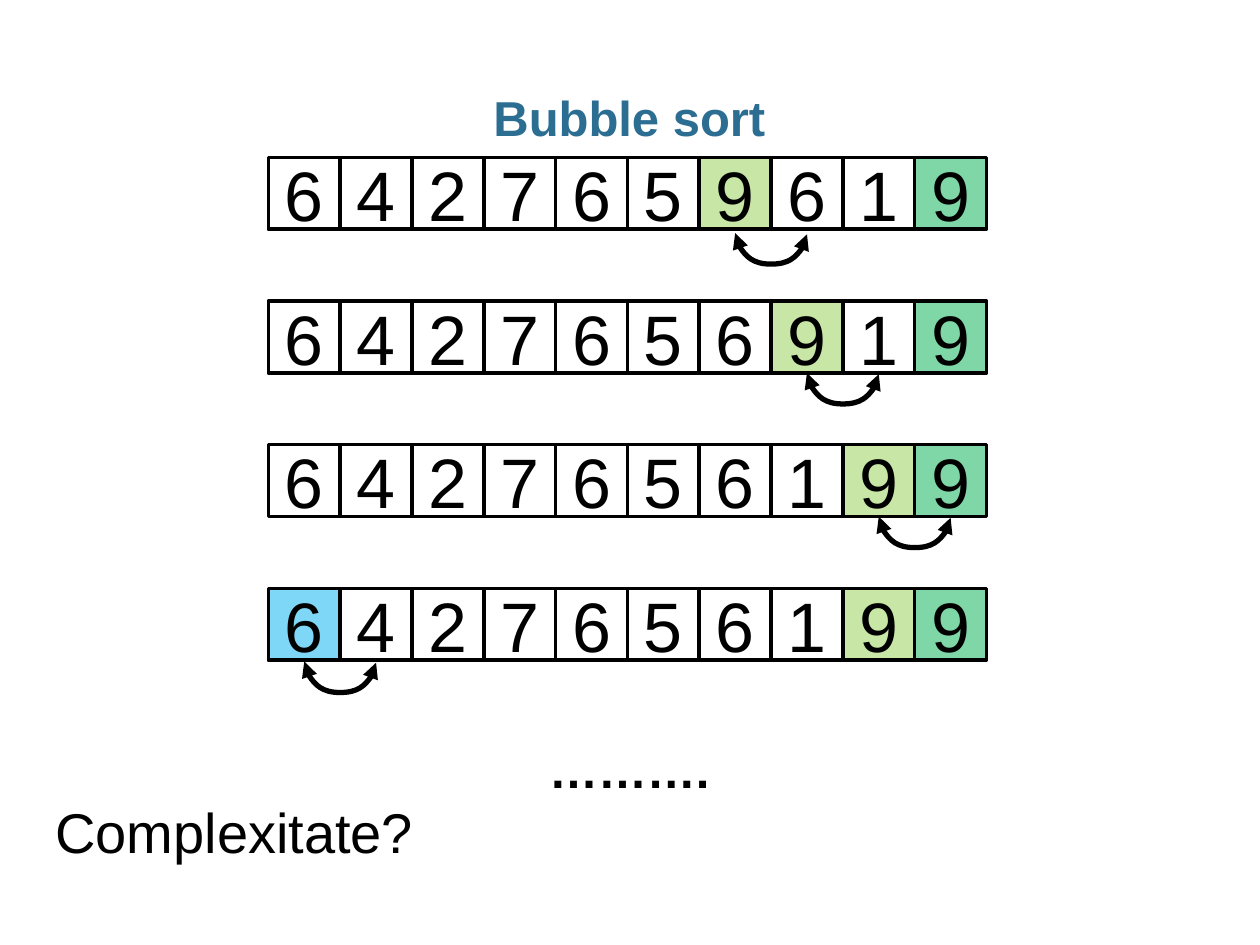
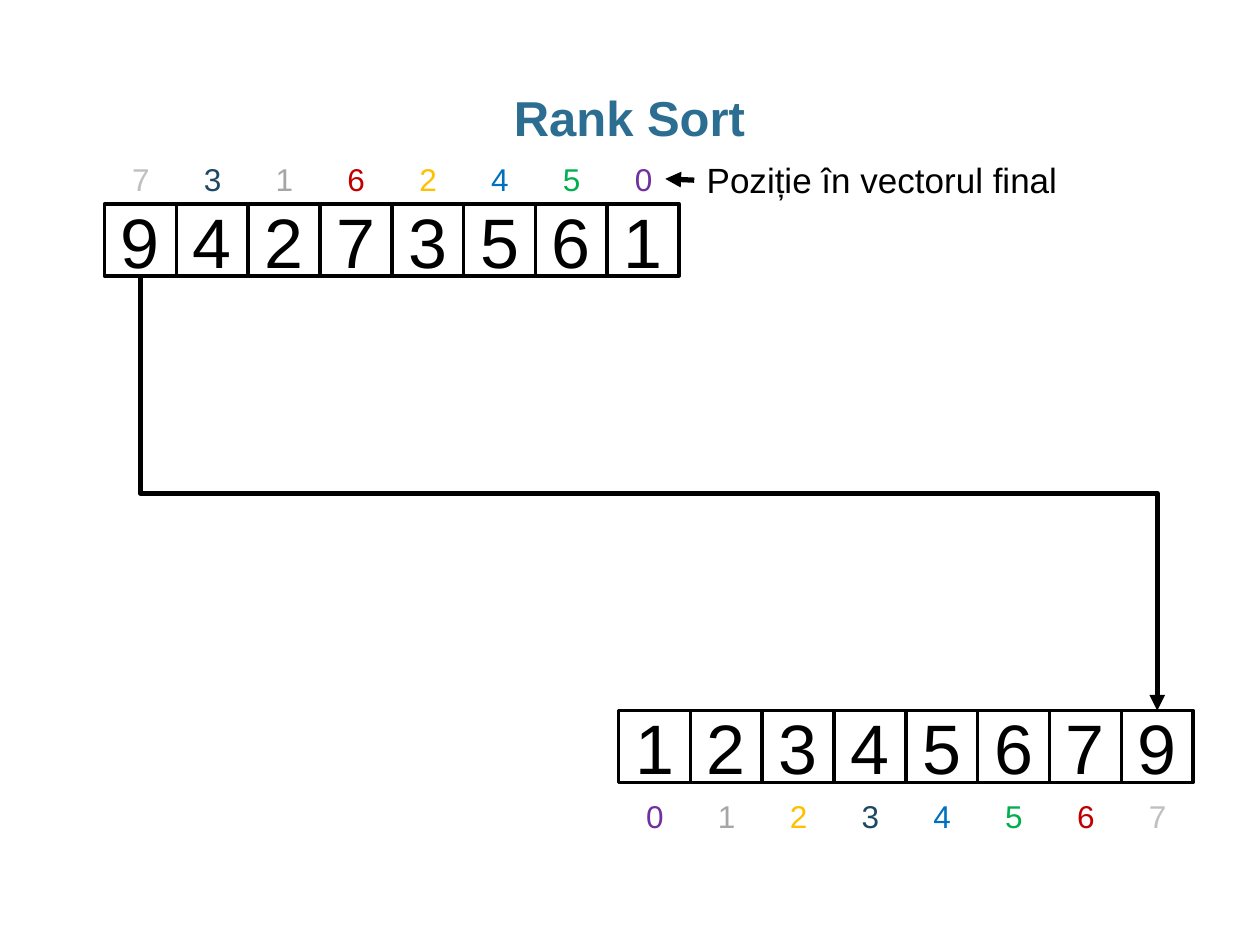
import pptx
import pptx.util
import pptx.dml.color
import pptx.enum.shapes
import pptx.enum.text
import pptx.oxml.ns
from lxml import etree

Inches = pptx.util.Inches
Pt = pptx.util.Pt
qn = pptx.oxml.ns.qn
CONNECTOR = pptx.enum.shapes.MSO_CONNECTOR
ALIGN = pptx.enum.text.PP_ALIGN
ANCHOR = pptx.enum.text.MSO_ANCHOR
AUTO_SIZE = pptx.enum.text.MSO_AUTO_SIZE

COLORS = {
    "title": "2C6D92",
    "ink": "000000",
    "moving": "92D050",
    "sorted": "00B050",
    "start": "00B0F0",
}
RANK_COLORS = {
    "0": "7030A0", "1": "A6A6A6", "2": "FFC000", "3": "1D4A63",
    "4": "0070C0", "5": "00B050", "6": "C00000", "7": "BFBFBF",
}
FONT = "Arial"
CELL = 0.57
ROW_STEP = 2 * CELL


def rgb(value):
    return pptx.dml.color.RGBColor.from_string(value)


def add_run(p, text, size, color=COLORS["ink"], bold=False):
    r = p.add_run()
    r.text = text
    r.font.name = FONT
    r.font.size = Pt(size)
    r.font.bold = bold
    r.font.color.rgb = rgb(color)


def add_titled_slide(prs, title):
    s = prs.slides.add_slide(prs.slide_layouts[5])
    sp = s.shapes.title
    sp.left, sp.top = Inches(0.34), Inches(0.68)
    sp.width, sp.height = Inches(9.31), Inches(0.5)
    tf = sp.text_frame
    tf.margin_left = tf.margin_right = 0
    tf.margin_top = tf.margin_bottom = Inches(0.05)
    tf.vertical_anchor = ANCHOR.TOP
    tf.auto_size = AUTO_SIZE.NONE
    p = tf.paragraphs[0]
    p.alignment = ALIGN.CENTER
    p.line_spacing = 0.95
    add_run(p, title, 28, COLORS["title"], True)
    return s


def add_label(s, x, y, w, h, text, size, color=COLORS["ink"], bold=False):
    sp = s.shapes.add_textbox(Inches(x), Inches(y), Inches(w), Inches(h))
    tf = sp.text_frame
    tf.word_wrap = False
    tf.auto_size = AUTO_SIZE.SHAPE_TO_FIT_TEXT
    add_run(tf.paragraphs[0], text, size, color, bold)
    return sp


def add_cell(s, x, y, digit, fill=None):
    sp = s.shapes.add_shape(pptx.enum.shapes.MSO_SHAPE.RECTANGLE,
                            Inches(x), Inches(y), Inches(CELL), Inches(CELL))
    sp.shadow.inherit = False
    sp.line.color.rgb = rgb(COLORS["ink"])
    sp.line.width = Pt(2)
    if fill:
        sp.fill.solid()
        sp.fill.fore_color.rgb = rgb(COLORS[fill])
        color = sp._element.spPr.find(qn("a:solidFill"))[0]
        etree.SubElement(color, qn("a:alpha"), val="50000")
    else:
        sp.fill.background()
    tf = sp.text_frame
    tf.vertical_anchor = ANCHOR.MIDDLE
    p = tf.paragraphs[0]
    p.alignment = ALIGN.CENTER
    add_run(p, digit, 40)


def add_array(s, x, y, digits, fills=None):
    for i, digit in enumerate(digits):
        add_cell(s, x + i * CELL, y, digit, (fills or {}).get(i))


def add_ranks(s, x, y, ranks):
    return [add_label(s, x + 0.12 + i * CELL, y, 0.34, 0.4, rank, 18, RANK_COLORS[rank])
            for i, rank in enumerate(ranks)]


def add_arrow(s, kind, x1, y1, x2, y2, ends=("tailEnd",)):
    sp = s.shapes.add_connector(kind, Inches(x1), Inches(y1), Inches(x2), Inches(y2))
    sp.line.color.rgb = rgb(COLORS["ink"])
    sp.line.width = Pt(3)
    spPr = sp._element.spPr
    for end in ends:
        etree.SubElement(spPr.find(qn("a:ln")), qn("a:" + end), type="triangle")
    etree.SubElement(spPr, qn("a:effectLst"))
    return sp


def add_downward_arrow(s, kind, x1, y1, x2, y2, bend, ends=("tailEnd",)):
    cx, cy = (x1 + x2) / 2, (y1 + y2) / 2
    half_w, half_h = (y2 - y1) / 2, (x2 - x1) / 2
    sp = add_arrow(s, kind, cx + half_w, cy - half_h, cx - half_w, cy + half_h, ends)
    spPr = sp._element.spPr
    spPr.find(qn("a:xfrm")).set("rot", "16200000")
    adjustments = spPr.find(qn("a:prstGeom")).find(qn("a:avLst"))
    etree.SubElement(adjustments, qn("a:gd"), name="adj1",
                     fmla=f"val {round(bend / (y2 - y1) * 100000)}")


def add_swap(s, x, y, index):
    left = x + (index + 0.5) * CELL
    add_downward_arrow(s, CONNECTOR.CURVE, left, y, left + CELL, y + 0.01, 0.25,
                       ("headEnd", "tailEnd"))


def build_bubble_sort(prs):
    s = add_titled_slide(prs, "Bubble sort")
    x, y = 2.13, 1.25
    steps = [
        ("6427659619", {6: "moving"}, 6, 0.03),
        ("6427656919", {7: "moving"}, 7, 0),
        ("6427656199", {8: "moving"}, 8, 0),
        ("6427656199", {0: "start", 8: "moving"}, 0, 0.01),
    ]
    for i, (digits, fills, swap, gap) in enumerate(steps):
        top = y + i * ROW_STEP
        add_array(s, x, top, digits, {**fills, 9: "sorted"})
        add_swap(s, x, top + CELL + gap, swap)
    add_label(s, 4.26, 5.82, 1.49, 0.57, "……….", 28, bold=True)
    add_label(s, 0.34, 6.28, 3.07, 0.64, "Complexitate?", 32)


def build_rank_sort(prs):
    s = add_titled_slide(prs, "Rank Sort")
    x1, y1, x2, y2 = 0.83, 1.62, 4.91, 5.64
    add_array(s, x1, y1, "94273561")
    ranks = add_ranks(s, x1, y1 - 0.4, "73162450")
    note = add_label(s, 5.51, 1.21, 3.01, 0.44, "Poziție în vectorul final", 20)
    add_array(s, x2, y2, "12345679")
    add_ranks(s, x2, y2 + 0.64, "01234567")
    pointer = add_arrow(s, CONNECTOR.STRAIGHT, 5.51, 1.43, 5.27, 1.42)
    pointer.begin_connect(note, 1)
    pointer.end_connect(ranks[-1], 3)
    bottom = y1 + CELL
    add_downward_arrow(s, CONNECTOR.ELBOW, x1 + CELL / 2, bottom,
                       x2 + 7.5 * CELL, y2, (y2 - bottom) / 2)


def main():
    prs = pptx.Presentation()
    prs.slide_width, prs.slide_height = Inches(10), Inches(7.5)
    build_bubble_sort(prs)
    build_rank_sort(prs)
    prs.save("out.pptx")


if __name__ == "__main__":
    main()
